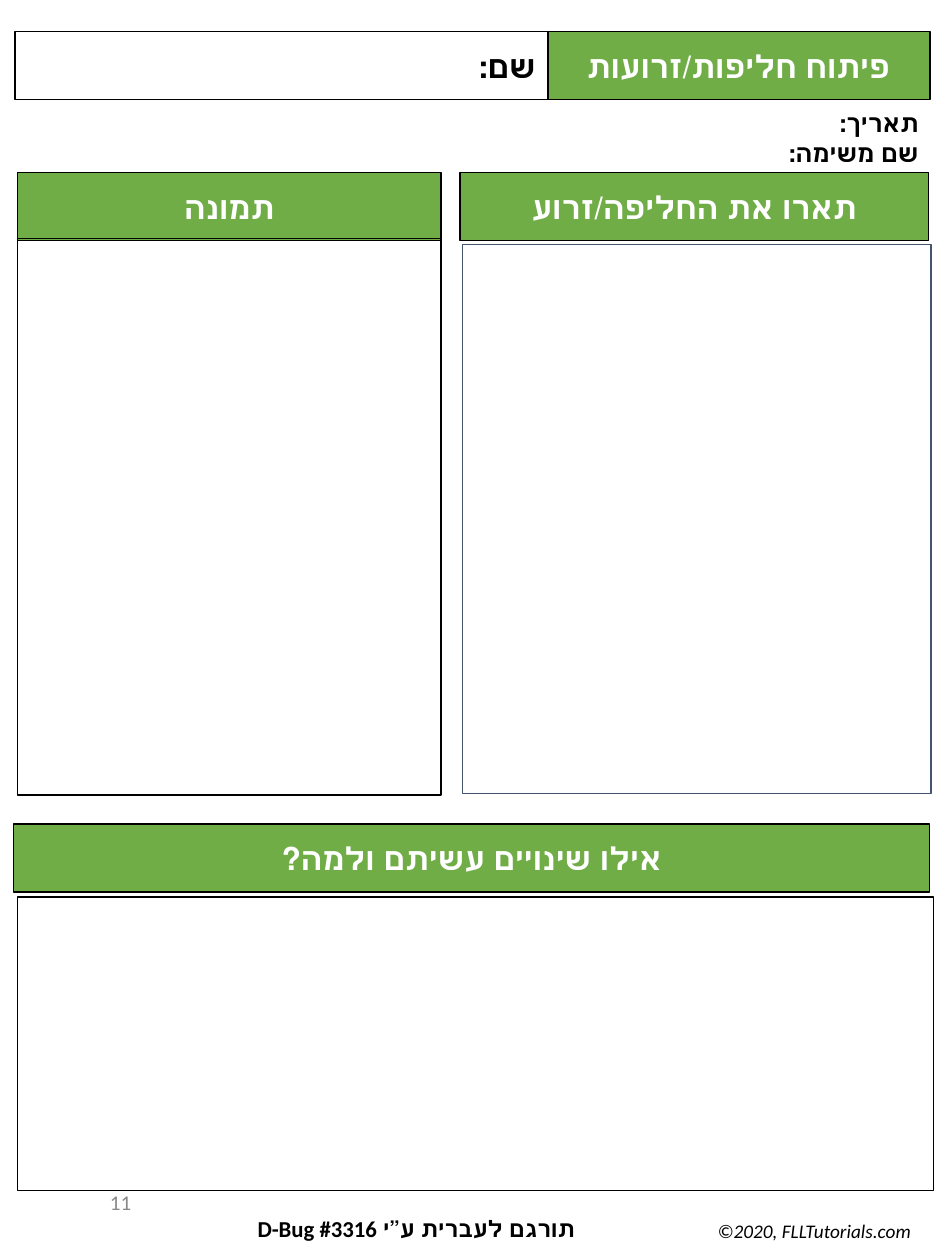
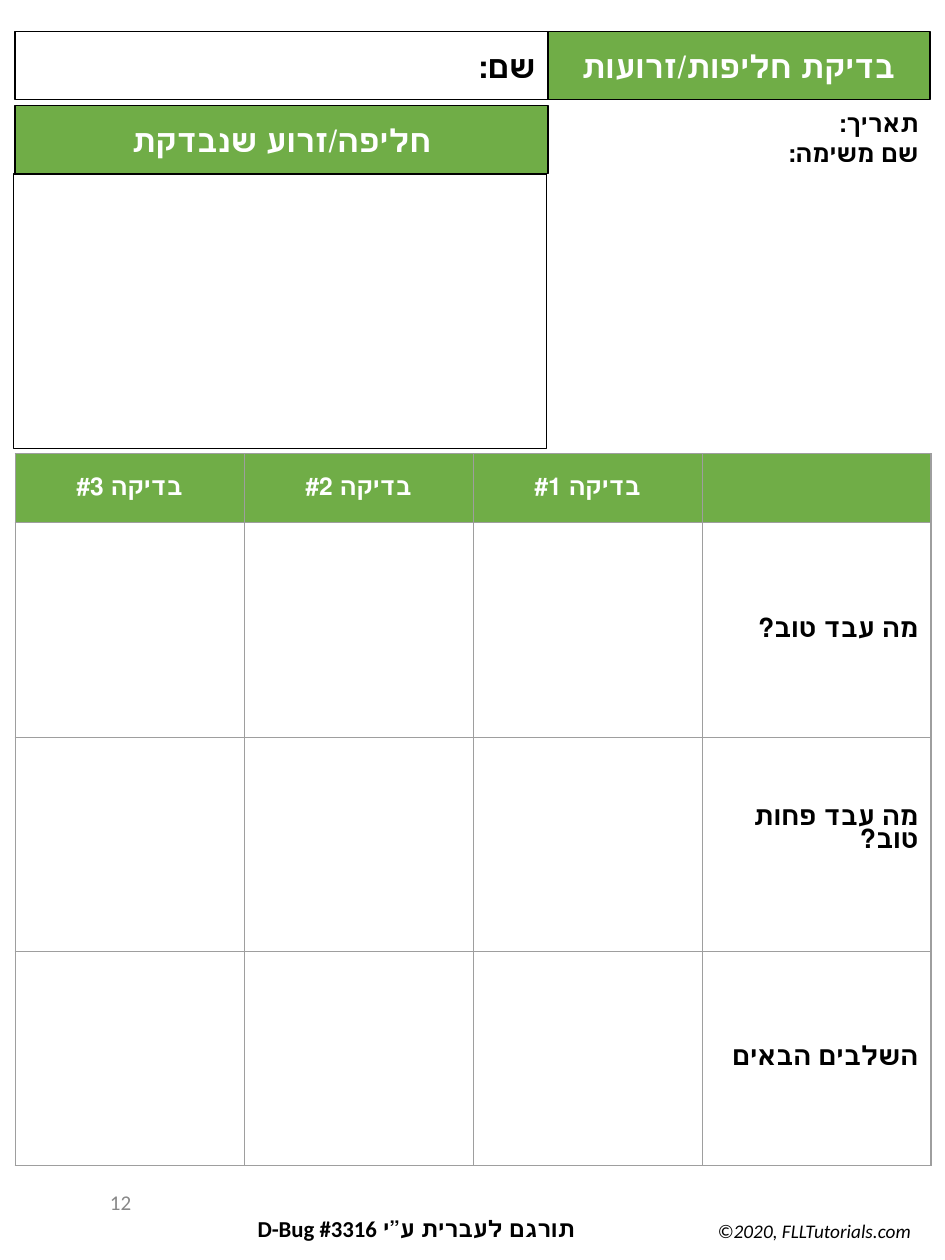
from lxml import etree
from pptx import Presentation
from pptx.dml.color import RGBColor
from pptx.enum.shapes import MSO_SHAPE
from pptx.enum.text import MSO_ANCHOR, MSO_AUTO_SIZE, PP_ALIGN
from pptx.oxml.ns import qn
from pptx.util import Inches, Pt

GREEN = RGBColor(0x70, 0xAD, 0x47)
BLACK = RGBColor(0x00, 0x00, 0x00)
WHITE = RGBColor(0xFF, 0xFF, 0xFF)
SLATE = RGBColor(0x44, 0x54, 0x6A)
GRAY = RGBColor(0x88, 0x88, 0x88)
GRID = RGBColor(0x9E, 0x9E, 0x9E)

RECT = MSO_SHAPE.RECTANGLE
TOP, MIDDLE = MSO_ANCHOR.TOP, MSO_ANCHOR.MIDDLE
CENTER, RIGHT = PP_ALIGN.CENTER, PP_ALIGN.RIGHT
NO_FIT = MSO_AUTO_SIZE.NONE

BAND_H = 0.54
LINE_W = Pt(0.75)
HEADINGS = ["בדיקה #3", "בדיקה #2", "בדיקה #1", ""]
QUESTIONS = [
    ("מה עבד טוב?", True, 0.1),
    ("מה עבד פחות טוב?", True, 0.33),
    ("השלבים הבאים", False, 0.1),
]


def write(tf, text, size, color=BLACK, bold=True, italic=False, align=RIGHT,
          rtl=False, font="Calibri", spacing=1.0):
    tf.text = text
    for p in tf.paragraphs:
        p.alignment = align
        p.line_spacing = spacing
        if rtl:
            p._p.get_or_add_pPr().set("rtl", "1")
        for r in p.runs:
            r.font.name = font
            r.font.size = Pt(size)
            r.font.bold = bold
            r.font.italic = italic
            r.font.color.rgb = color


def set_frame(tf, anchor):
    tf.auto_size = NO_FIT
    tf.word_wrap = True
    tf.vertical_anchor = anchor
    tf.margin_left = tf.margin_right = Inches(0.1)
    tf.margin_top = tf.margin_bottom = Inches(0.05)


def style_box(sp, fill, line=BLACK):
    if fill is None:
        sp.fill.background()
    else:
        sp.fill.solid()
        sp.fill.fore_color.rgb = fill
    sp.line.color.rgb = line
    sp.line.width = LINE_W
    set_frame(sp.text_frame, MIDDLE)


def add_box(slide, x, y, w, h, fill=None, line=BLACK):
    sp = slide.shapes.add_shape(RECT, Inches(x), Inches(y), Inches(w), Inches(h))
    sp.shadow.inherit = False
    style_box(sp, fill, line)
    return sp


def add_band(slide, text, x, y, w, rtl=False):
    sp = add_box(slide, x, y, w, BAND_H, GREEN)
    write(sp.text_frame, text, 18, WHITE, align=CENTER, rtl=rtl)


def add_text(slide, text, x, y, w, h, size, anchor=TOP, **style):
    sp = slide.shapes.add_textbox(Inches(x), Inches(y), Inches(w), Inches(h))
    set_frame(sp.text_frame, anchor)
    write(sp.text_frame, text, size, **style)


def add_title(slide, text):
    sp = slide.shapes.title
    sp.left, sp.top = Inches(4.34), Inches(0.25)
    sp.width, sp.height = Inches(3.04), Inches(BAND_H)
    style_box(sp, GREEN)
    write(sp.text_frame, text, 18, WHITE, align=CENTER, rtl=True)


def add_worksheet(prs, title, number, details_x, copyright_x):
    slide = prs.slides.add_slide(prs.slide_layouts[5])
    add_title(slide, title)
    name = add_box(slide, 0.12, 0.25, 4.23, BAND_H, WHITE)
    write(name.text_frame, "שם:", 18, rtl=True)
    add_text(slide, "תאריך:\nשם משימה:", details_x, 0.81, 7.39 - details_x, 0.77, 14, rtl=True)
    add_text(slide, "©2020, FLLTutorials.com", copyright_x, 9.63, 7.33 - copyright_x, 0.28, 11,
             bold=False, italic=True)
    add_text(slide, str(number), -0.55, 9.28, 1.69, 0.53, 12, MIDDLE, color=GRAY, bold=False)
    add_text(slide, "תורגם לעברית ע”י D-Bug #3316", 0.46, 9.59, 4.2, 0.28, 13, rtl=True)
    return slide


def set_borders(cell):
    tc_pr = cell._tc.get_or_add_tcPr()
    for i, side in enumerate(("a:lnL", "a:lnR", "a:lnT", "a:lnB")):
        ln = etree.Element(qn(side), w=str(LINE_W))
        fill = etree.SubElement(ln, qn("a:solidFill"))
        etree.SubElement(fill, qn("a:srgbClr"), val=str(GRID))
        tc_pr.insert(i, ln)


def add_test_table(slide):
    rows, cols = len(QUESTIONS) + 1, len(HEADINGS)
    frame = slide.shapes.add_table(rows, cols, Inches(0.12), Inches(3.6), Inches(7.27), Inches(5.67))
    table = frame.table
    table.first_row = table.horz_banding = False
    for i, row in enumerate(table.rows):
        row.height = Inches(1.7 if i else 0.55)
        for cell in row.cells:
            cell.vertical_anchor = MIDDLE
            cell.margin_left = cell.margin_right = Inches(0.1)
            cell.margin_top = cell.margin_bottom = Inches(0.1)
            if i:
                cell.fill.background()
            else:
                cell.fill.solid()
                cell.fill.fore_color.rgb = GREEN
            set_borders(cell)
    for j, heading in enumerate(HEADINGS):
        write(table.cell(0, j).text_frame, heading, 14, WHITE, align=CENTER, font="Arial")
    for i, (question, rtl, bottom) in enumerate(QUESTIONS, 1):
        cell = table.cell(i, cols - 1)
        cell.margin_bottom = Inches(bottom)
        write(cell.text_frame, question, 15, rtl=rtl, font="Arial", spacing=0.9)


def build_development(prs):
    slide = add_worksheet(prs, "פיתוח חליפות/זרועות", 11, 0.12, 5.5)
    add_band(slide, "תמונה", 0.14, 1.37, 3.36)
    add_band(slide, "תארו את החליפה/זרוע", 3.65, 1.37, 3.72)
    add_band(slide, "אילו שינויים עשיתם ולמה?", 0.11, 6.54, 7.27, rtl=True)
    add_box(slide, 0.14, 1.89, 3.36, 4.42)
    add_box(slide, 3.67, 1.94, 3.72, 4.36, line=SLATE)
    add_box(slide, 0.14, 7.12, 7.27, 2.33)


def build_testing(prs):
    slide = add_worksheet(prs, "בדיקת חליפות/זרועות", 12, 4.45, 5.19)
    add_band(slide, "חליפה/זרוע שנבדקת", 0.12, 0.84, 4.23)
    add_box(slide, 0.11, 1.38, 4.23, 2.18)
    add_test_table(slide)


def main():
    prs = Presentation()
    prs.slide_width, prs.slide_height = Inches(7.5), Inches(10)
    build_development(prs)
    build_testing(prs)
    prs.save("out.pptx")


if __name__ == "__main__":
    main()
